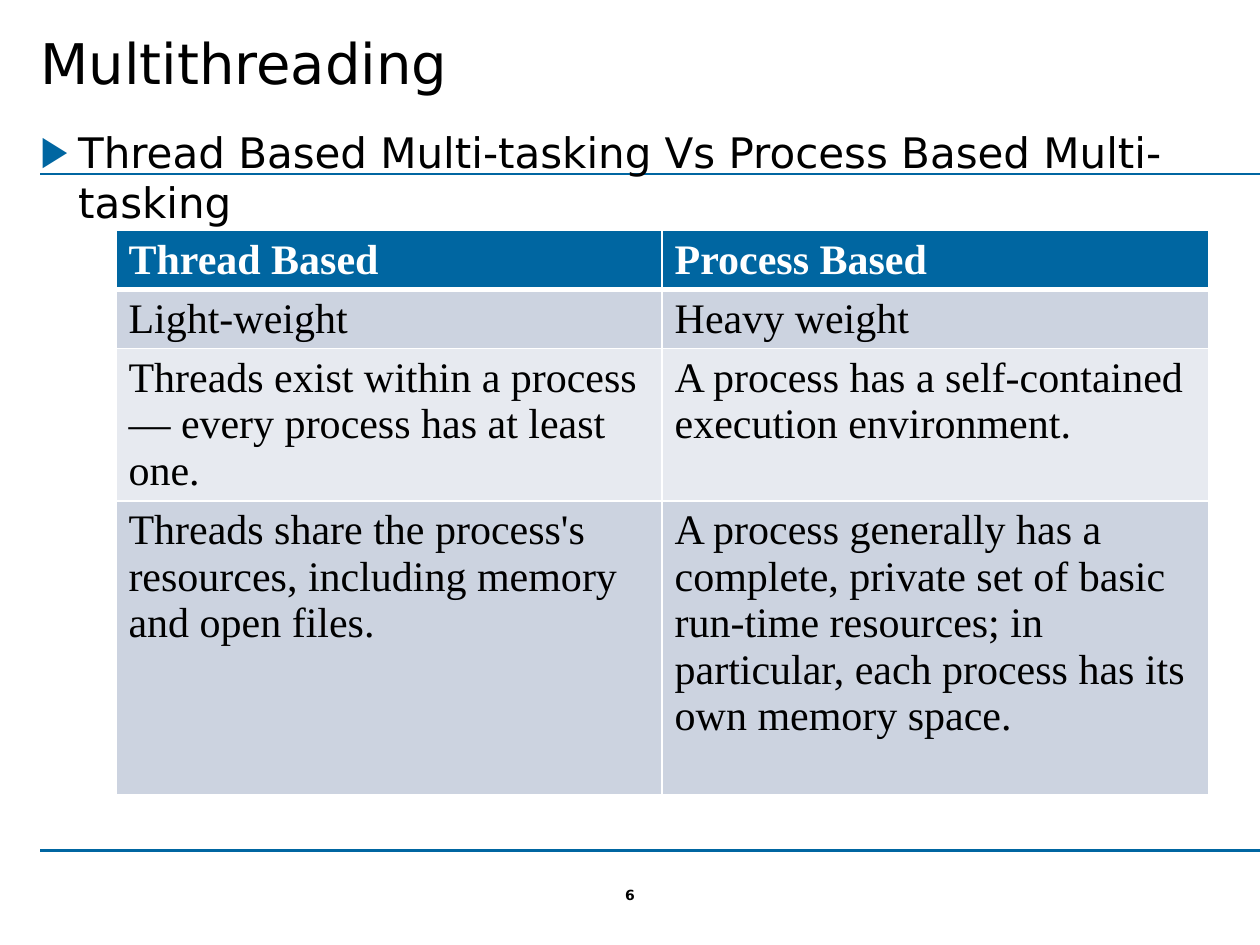
from dataclasses import dataclass

from lxml.etree import SubElement
from pptx import Presentation
from pptx.dml.color import RGBColor as Rgb
from pptx.enum.shapes import MSO_CONNECTOR as Connector
from pptx.enum.text import MSO_ANCHOR as Anchor, MSO_AUTO_SIZE as AutoSize, PP_ALIGN as Align
from pptx.oxml.ns import qn
from pptx.util import Inches, Pt


@dataclass(frozen=True)
class Theme:
    """Colours, fonts and type sizes of the slide."""
    accent: str = "0066A1"
    ink: str = "000000"
    paper: str = "FFFFFF"
    bands: tuple = ("CCD3E0", "E7EAF0")
    sans: str = "DejaVu Sans"
    serif: str = "Times New Roman"
    title: int = 32
    body: int = 24
    number: int = 8
    rule: float = 1.25


@dataclass(frozen=True)
class Area:
    """A rectangle in inches."""
    left: float
    top: float
    width: float
    height: float

    def lengths(self) -> tuple:
        """Return the rectangle as slide lengths."""
        return tuple(map(Inches, (self.left, self.top, self.width, self.height)))


@dataclass(frozen=True)
class Comparison:
    """One table row and its height in inches."""
    thread: str
    process: str
    height: float


THEME = Theme()
LEFT = 0.32
RULES = (1.38, 6.75)
TITLE = Area(LEFT, 0.18, 9.49, 1.05)
BODY = Area(LEFT, 1, 9.49, 5.55)
NUMBER = Area(4.89, 7.04, 0.22, 0.13)
TABLE = Area(0.92, 1.83, 8.67, 4.46)
ROWS = (
    Comparison("Thread Based", "Process Based", 0.46),
    Comparison("Light-weight", "Heavy weight", 0.46),
    Comparison("Threads exist within a process — every process has at least one.",
               "A process has a self-contained execution environment.", 1.21),
    Comparison("Threads share the process's resources, including memory and open files.",
               "A process generally has a complete, private set of basic run-time resources; "
               "in particular, each process has its own memory space.", 2.33),
)


def apply(target, values: dict) -> None:
    """Set attributes from a dict of format values."""
    for name, value in values.items():
        setattr(target, name, value)


def write(frame, text: str, size: int, font: str, color: str, bold=False, align=Align.LEFT):
    """Write one formatted paragraph and return it."""
    para = frame.paragraphs[0]
    apply(para, {"alignment": align, "space_before": Pt(0)})
    span = para.add_run()
    span.text = text
    apply(span.font, {"size": Pt(size), "name": font, "bold": bold})
    span.font.color.rgb = Rgb.from_string(color)
    return para


def place(box, area: Area, inset: float, anchor=Anchor.TOP, wrap=True) -> None:
    """Position a text shape and set its frame."""
    apply(box, dict(zip(("left", "top", "width", "height"), area.lengths())))
    apply(box.text_frame, {
        "margin_left": 0, "margin_right": 0,
        "margin_top": Inches(inset), "margin_bottom": Inches(inset),
        "vertical_anchor": anchor, "word_wrap": wrap, "auto_size": AutoSize.NONE})


def add_bullet(para, mark: str, indent: float) -> None:
    """Give a paragraph a coloured bullet and a hanging indent."""
    props = para._p.get_or_add_pPr()
    props.set("marL", str(Inches(indent)))
    props.set("indent", str(-Inches(indent)))
    color = SubElement(props, qn("a:buClr"))
    SubElement(color, qn("a:srgbClr"), val=THEME.accent)
    SubElement(props, qn("a:buChar"), char=mark)


def add_rule(page, top: float) -> None:
    """Draw a horizontal rule behind the text."""
    rule = page.shapes.add_connector(
        Connector.STRAIGHT, Inches(LEFT), Inches(top), Inches(10), Inches(top))
    rule.line.color.rgb = Rgb.from_string(THEME.accent)
    rule.line.width = Pt(THEME.rule)
    SubElement(rule.element.spPr, qn("a:effectLst"))
    rule.element.getparent().insert(2, rule.element)


def add_borders(cell, bottom: float) -> None:
    """Draw white borders around a cell, before its fill is set."""
    props = cell._tc.get_or_add_tcPr()
    for side, width in {"lnL": 1, "lnR": 1, "lnT": 1, "lnB": bottom}.items():
        line = SubElement(props, qn(f"a:{side}"), w=str(Pt(width)))
        fill = SubElement(line, qn("a:solidFill"))
        SubElement(fill, qn("a:srgbClr"), val=THEME.paper)


def add_comparison(page) -> None:
    """Build the comparison table."""
    grid = page.shapes.add_table(len(ROWS), 2, *TABLE.lengths()).table
    for index, row in enumerate(ROWS):
        grid.rows[index].height = Inches(row.height)
        header = index == 0
        shade = THEME.accent if header else THEME.bands[(index - 1) % 2]
        color = THEME.paper if header else THEME.ink
        for cell, text in zip(grid.rows[index].cells, (row.thread, row.process)):
            add_borders(cell, 3 if header else 1)
            cell.fill.solid()
            cell.fill.fore_color.rgb = Rgb.from_string(shade)
            write(cell.text_frame, text, THEME.body, THEME.serif, color, header)


def main() -> None:
    """Build and save the slide."""
    deck = Presentation()
    apply(deck, {"slide_width": Inches(10), "slide_height": Inches(7.5)})
    page = deck.slides.add_slide(deck.slide_layouts[1])
    title, body = page.placeholders
    place(title, TITLE, 0.05)
    write(title.text_frame, "Multithreading", THEME.title, THEME.sans, THEME.ink)
    place(body, BODY, 0)
    para = write(body.text_frame, "Thread Based Multi-tasking Vs Process Based Multi-tasking",
                 THEME.body, THEME.sans, THEME.ink)
    para.space_after = Pt(3)
    add_bullet(para, "▶", 0.3)
    for top in RULES:
        add_rule(page, top)
    add_comparison(page)
    number = page.shapes.add_textbox(*NUMBER.lengths())
    place(number, NUMBER, 0, Anchor.MIDDLE, False)
    write(number.text_frame, "6", THEME.number, THEME.sans, THEME.ink, True, Align.CENTER)
    deck.save("out.pptx")


if __name__ == "__main__":
    main()
